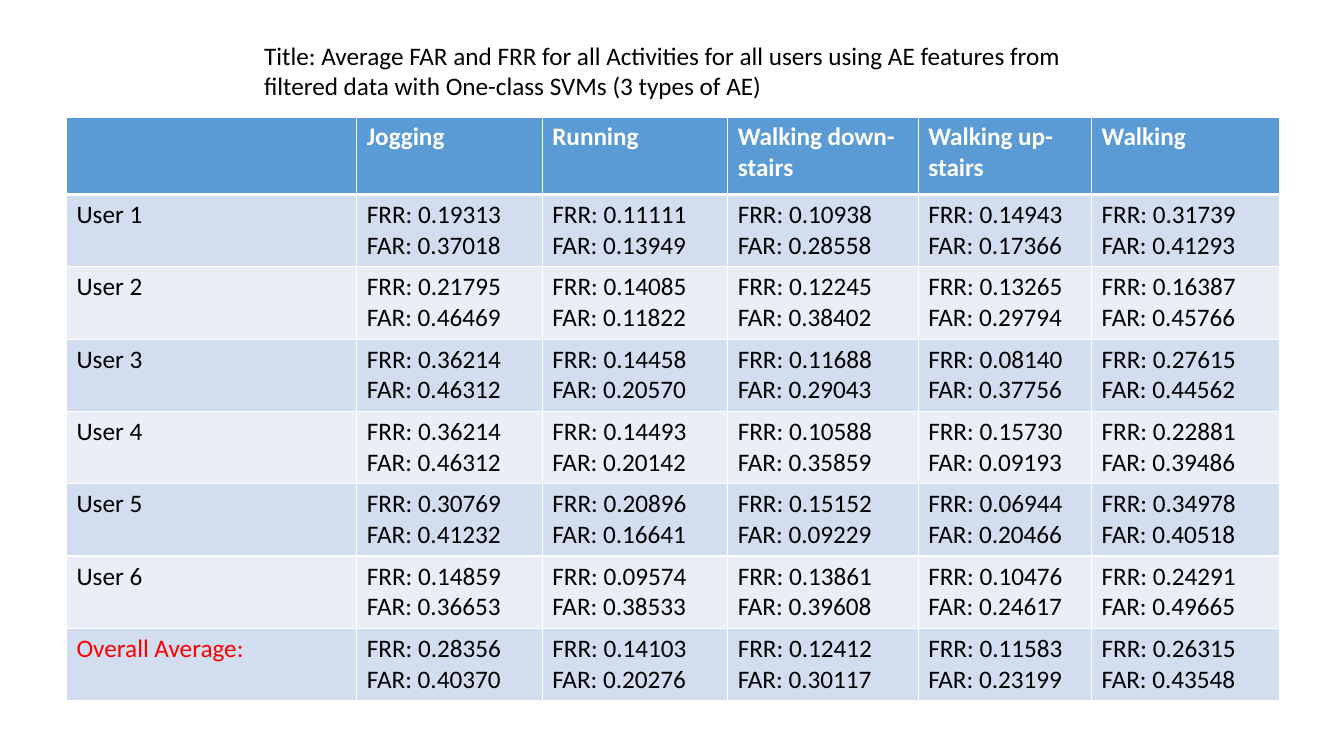
"""Build a slide with a table of FRR and FAR for each user and activity."""
from dataclasses import dataclass

from lxml import etree
from pptx import Presentation
from pptx import util as u
from pptx.dml import color
from pptx.enum import text
from pptx.oxml import ns

INK = {"head": "5B9BD5", "odd": "D2DEEF", "even": "EAEFF7",
       "white": "FFFFFF", "black": "000000", "red": "FF0000"}
FONT = {"name": "Calibri", "size": u.Pt(18), "bold": False}
FRAME = {"word_wrap": True, "auto_size": text.MSO_AUTO_SIZE.NONE,
         "vertical_anchor": text.MSO_ANCHOR.TOP}
TITLE = ("Title: Average FAR and FRR for all Activities for all users using "
         "AE features from filtered data with One-class SVMs (3 types of AE)")
HEADS = ["", "Jogging", "Running", "Walking down-stairs",
         "Walking up-stairs", "Walking"]
WIDTHS = [207.36, 132.48, 132.48, 136.08, 123.84, 134.64]
HEAD_HIGH, ROW_HIGH = 55.44, 51.65


@dataclass
class Row:
    label: str
    frr: list[str]
    far: list[str]
    ink: str = "black"

    def cells(self) -> list[str]:
        pairs = zip(self.frr, self.far)
        return [self.label] + [f"FRR: {r}\nFAR: {a}" for r, a in pairs]


ROWS = [
    Row("User 1", ["0.19313", "0.11111", "0.10938", "0.14943", "0.31739"],
        ["0.37018", "0.13949", "0.28558", "0.17366", "0.41293"]),
    Row("User 2", ["0.21795", "0.14085", "0.12245", "0.13265", "0.16387"],
        ["0.46469", "0.11822", "0.38402", "0.29794", "0.45766"]),
    Row("User 3", ["0.36214", "0.14458", "0.11688", "0.08140", "0.27615"],
        ["0.46312", "0.20570", "0.29043", "0.37756", "0.44562"]),
    Row("User 4", ["0.36214", "0.14493", "0.10588", "0.15730", "0.22881"],
        ["0.46312", "0.20142", "0.35859", "0.09193", "0.39486"]),
    Row("User 5", ["0.30769", "0.20896", "0.15152", "0.06944", "0.34978"],
        ["0.41232", "0.16641", "0.09229", "0.20466", "0.40518"]),
    Row("User 6", ["0.14859", "0.09574", "0.13861", "0.10476", "0.24291"],
        ["0.36653", "0.38533", "0.39608", "0.24617", "0.49665"]),
    Row("Overall Average:",
        ["0.28356", "0.14103", "0.12412", "0.11583", "0.26315"],
        ["0.40370", "0.20276", "0.30117", "0.23199", "0.43548"], "red"),
]


def apply(item, look: dict) -> None:
    for key, value in look.items():
        setattr(item, key, value)


def write(frame, words: str, ink: str, bold: bool = False) -> None:
    frame.text = words
    for para in frame.paragraphs:
        para.alignment = text.PP_ALIGN.LEFT
        apply(para.font, FONT | {"bold": bold})
        para.font.color.rgb = color.RGBColor.from_string(INK[ink])


def edge(cell, sides: dict[str, float]) -> None:
    props = cell._tc.get_or_add_tcPr()
    for spot, (side, width) in enumerate(sides.items()):
        line = etree.Element(ns.qn(f"a:ln{side}"), w=str(u.Pt(width)))
        fill = etree.SubElement(line, ns.qn("a:solidFill"))
        etree.SubElement(fill, ns.qn("a:srgbClr"), val=INK["white"])
        props.insert(spot, line)


def paint(cell, words: str, fill: str, ink: str, row: int) -> None:
    cell.fill.solid()
    cell.fill.fore_color.rgb = color.RGBColor.from_string(INK[fill])
    edge(cell, {"L": 1, "R": 1, "T": 3 if row == 1 else 1,
                "B": 3 if row == 0 else 1})
    write(cell.text_frame, words, ink, row == 0)


def draw_title(slide) -> None:
    title = slide.shapes.title
    apply(title, {"left": u.Pt(181.44), "top": u.Pt(25.2),
                  "width": u.Pt(585.36), "height": u.Pt(72.72)})
    apply(title.text_frame, FRAME)
    write(title.text_frame, TITLE, "black")


def draw_table(slide) -> None:
    high = HEAD_HIGH + ROW_HIGH * len(ROWS)
    table = slide.shapes.add_table(
        len(ROWS) + 1, len(HEADS), u.Pt(47.52), u.Pt(83.52),
        u.Pt(sum(WIDTHS)), u.Pt(high)).table
    for column, width in zip(table.columns, WIDTHS):
        column.width = u.Pt(width)
    for index, line in enumerate(table.rows):
        line.height = u.Pt(ROW_HIGH if index else HEAD_HIGH)
    for col, words in enumerate(HEADS):
        paint(table.cell(0, col), words, "head", "white", 0)
    for index, row in enumerate(ROWS, 1):
        fill = "odd" if index % 2 else "even"
        for col, words in enumerate(row.cells()):
            ink = "black" if col else row.ink
            paint(table.cell(index, col), words, fill, ink, index)


def main() -> None:
    deck = Presentation()
    apply(deck, {"slide_width": u.Pt(960), "slide_height": u.Pt(540)})
    slide = deck.slides.add_slide(deck.slide_layouts[5])
    draw_title(slide)
    draw_table(slide)
    deck.save("out.pptx")


main()
